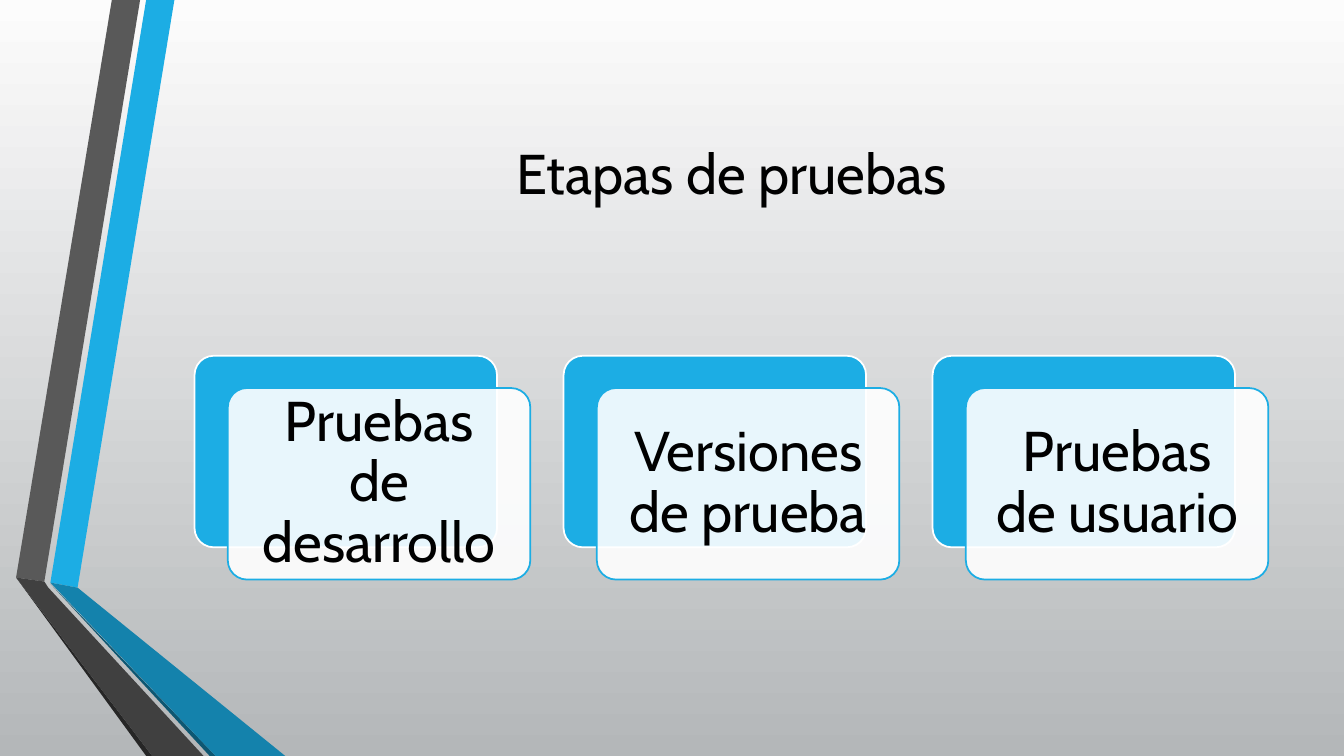
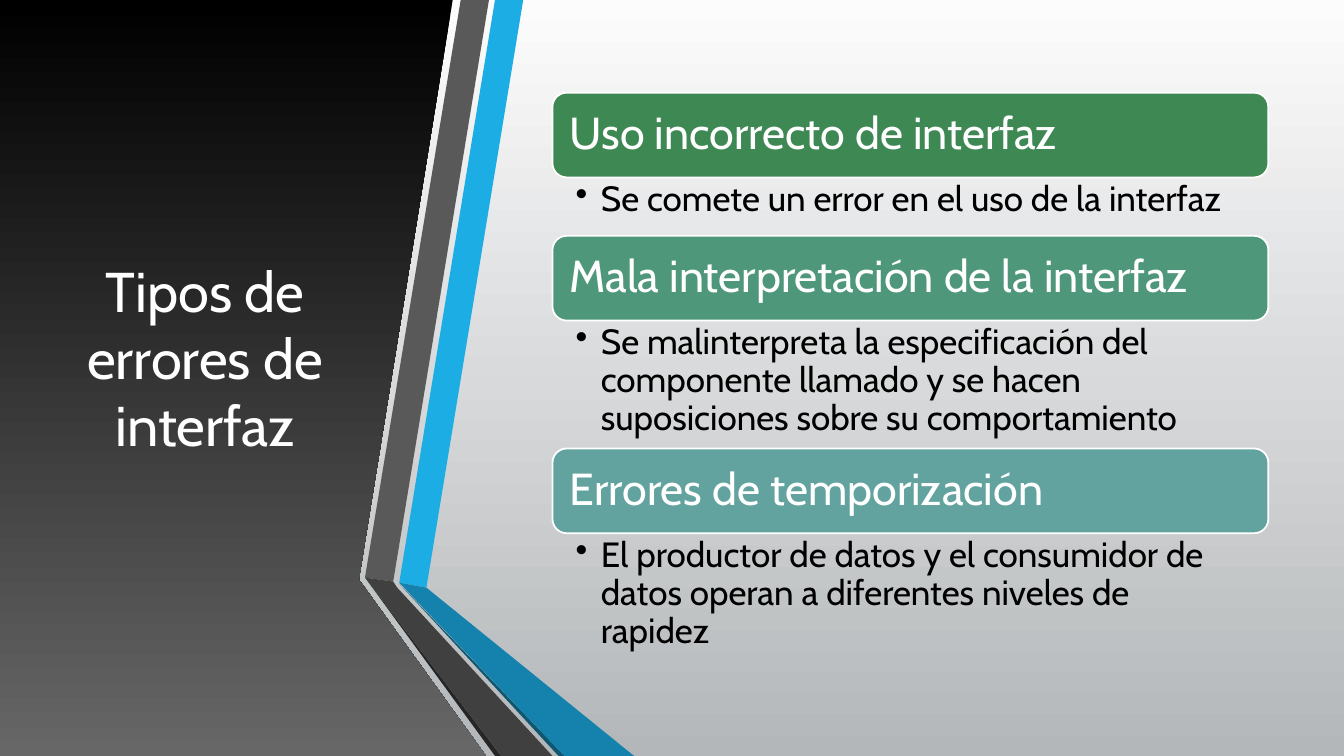
import lxml.etree
import pptx
import pptx.dml.color
import pptx.enum.shapes
import pptx.enum.text
import pptx.oxml.ns
import pptx.util

Inches = pptx.util.Inches
Pt = pptx.util.Pt
PP_ALIGN = pptx.enum.text.PP_ALIGN
ANCHOR = pptx.enum.text.MSO_ANCHOR
ROUND_RECT = pptx.enum.shapes.MSO_SHAPE.ROUNDED_RECTANGLE
qn = pptx.oxml.ns.qn

FONT = "Cabin"
BLUE, WHITE, BLACK = "1CADE4", "FFFFFF", "000000"
RIBBON = [
    (BLUE, [(0.5, 5.78), (0.77, 5.83), (1.73, 0), (1.45, 0)]),
    ("595959", [(1.39, 0), (1.11, 0), (0.16, 5.73), (0.44, 5.77)]),
    ("262626", [(0.16, 5.73), (1.45, 7.5), (1.51, 7.5)]),
    ("0E5772", [(0.5, 5.79), (2.08, 7.5), (2.14, 7.5)]),
    ("1482AC", [(0.5, 5.78), (2.14, 7.5), (2.83, 7.5), (0.77, 5.83)]),
    ("404040", [(0.16, 5.73), (1.51, 7.5), (2.02, 7.5), (0.48, 5.83), (0.44, 5.77)]),
]
PANEL = [(0, 0), (4.49, 0), (3.56, 5.75), (4.82, 7.5), (0, 7.5)]


def paint(fill, *colors):
    rgbs = [pptx.dml.color.RGBColor.from_string(c) for c in colors]
    if len(rgbs) == 1:
        fill.solid()
        fill.fore_color.rgb = rgbs[0]
        return
    fill.gradient()
    fill.gradient_angle = 270
    for stop, rgb, pos in zip(fill.gradient_stops, rgbs, (0, 1)):
        stop.color.rgb = rgb
        stop.position = pos


def write(sp, text, size=40, color=BLACK, align=PP_ALIGN.CENTER, anchor=ANCHOR.MIDDLE,
          spacing=None, insets=(0.1, 0.05, 0.1, 0.05), bullet=None):
    tf = sp.text_frame
    tf.word_wrap = True
    tf.auto_size = pptx.enum.text.MSO_AUTO_SIZE.NONE
    tf.vertical_anchor = anchor
    tf.margin_left, tf.margin_top, tf.margin_right, tf.margin_bottom = map(Inches, insets)
    p = tf.paragraphs[0]
    p.alignment = align
    p.line_spacing = spacing
    if bullet:
        p.level = 1
        pPr = p._p.get_or_add_pPr()
        pPr.set("marL", str(Inches(0.25)))
        pPr.set("indent", str(Inches(-0.25)))
        lxml.etree.SubElement(pPr, qn("a:buChar")).set("char", bullet)
    r = p.add_run()
    r.text = text
    r.font.name = FONT
    r.font.size = Pt(size)
    paint(r.font.fill, color)


prs = pptx.Presentation()
prs.slide_width, prs.slide_height = Inches(13.33), Inches(7.5)
paint(prs.slide_master.background.fill, "FCFCFC", "B4B7B9")

slides = []
for title, box, color, shift, panel in [
    ("Etapas de pruebas", (1.93, 0.75, 10.65, 1.92), BLACK, 0, []),
    ("Tipos de errores de interfaz", (0.59, 0.75, 2.89, 5.58), WHITE, 3.46,
     [((BLACK, "676767"), PANEL)]),
]:
    s = prs.slides.add_slide(prs.slide_layouts[5])
    slides.append(s)
    ribbon = [((c,), [(x + shift, y) for x, y in pts]) for c, pts in RIBBON]
    for colors, pts in panel + ribbon:
        pts = [(Inches(x), Inches(y)) for x, y in pts]
        fb = s.shapes.build_freeform(*pts[0])
        fb.add_line_segments(pts[1:], close=True)
        sp = fb.convert_to_shape()
        sp.shadow.inherit = False
        paint(sp.fill, *colors)
        sp.line.fill.background()
    sp = s.shapes.title
    sp.left, sp.top, sp.width, sp.height = map(Inches, box)
    write(sp, title, color=color)
    s.shapes.element.append(sp.element)

s = slides[0]
for i, text in enumerate(["Pruebas de desarrollo", "Versiones de prueba", "Pruebas de usuario"]):
    x = 1.93 + 3.66 * i
    for left, top, fill, line in [(x, 3.53, BLUE, WHITE), (x + 0.33, 3.85, WHITE, BLUE)]:
        sp = s.shapes.add_shape(ROUND_RECT, Inches(left), Inches(top), Inches(3), Inches(1.9))
        sp.adjustments[0] = 0.1
        sp.shadow.inherit = False
        paint(sp.fill, fill)
        paint(sp.line.fill, line)
        sp.line.width = Pt(1.25)
    clr = sp.element.find(".//" + qn("a:srgbClr"))
    lxml.etree.SubElement(clr, qn("a:alpha")).set("val", "90000")
    write(sp, text, spacing=0.9, insets=[0.17] * 4)

s = slides[1]
y = 0.92
for head, body, color, height in [
    ("Uso incorrecto de interfaz",
     "Se comete un error en el uso de la interfaz", "3E8853", 0.58),
    ("Mala interpretación de la interfaz",
     "Se malinterpreta la especificación del componente llamado y se hacen "
     "suposiciones sobre su comportamiento", "4E977B", 1.27),
    ("Errores de temporización",
     "El productor de datos y el consumidor de datos operan a diferentes niveles de rapidez",
     "62A39F", 0.87),
]:
    sp = s.shapes.add_shape(ROUND_RECT, Inches(5.48), Inches(y), Inches(7.1), Inches(0.84))
    sp.shadow.inherit = False
    paint(sp.fill, color)
    paint(sp.line.fill, WHITE)
    sp.line.width = Pt(1.25)
    write(sp, head, size=32, color=WHITE, align=PP_ALIGN.LEFT, spacing=0.9, insets=[0.13] * 4)
    y += 0.84
    sp = s.shapes.add_textbox(Inches(5.48), Inches(y), Inches(7.1), Inches(height))
    write(sp, body, size=25, align=PP_ALIGN.LEFT, anchor=ANCHOR.TOP, spacing=0.9,
          insets=(0.23, 0.04, 0.25, 0.04), bullet="•")
    y += height

prs.save("out.pptx")
